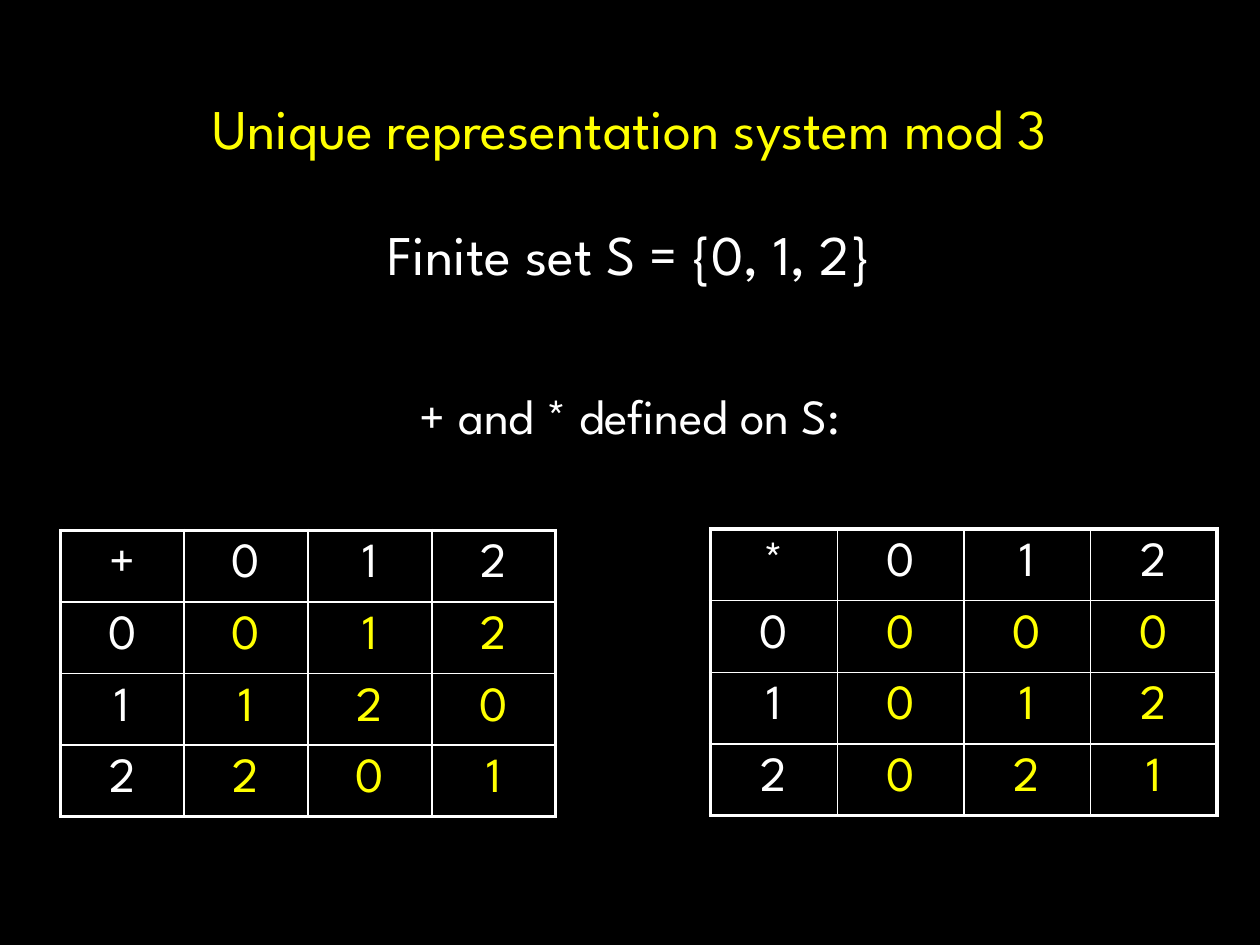
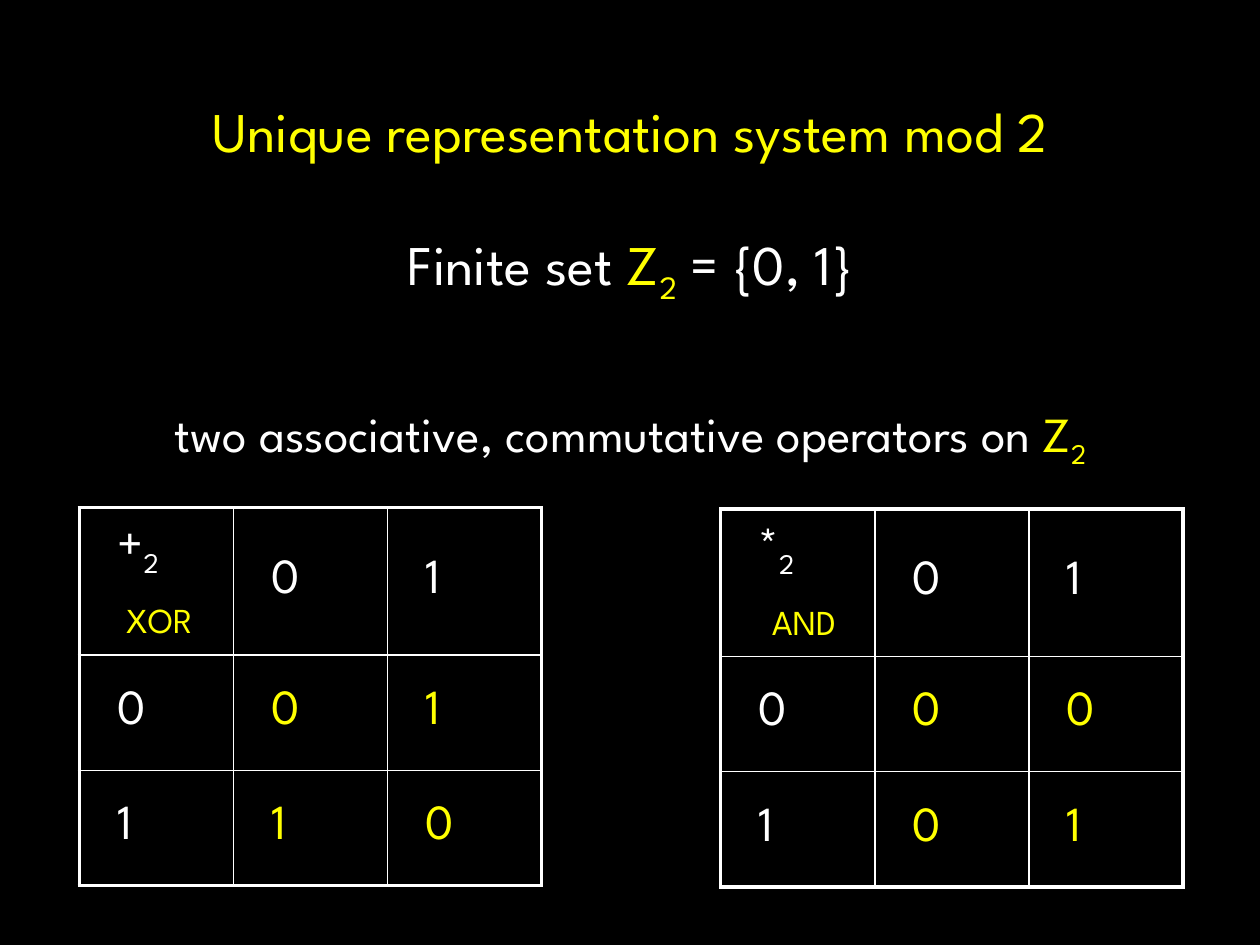
"""Build two slides on unique representation systems with their operator tables."""
from lxml.etree import SubElement
from pptx import Presentation
from pptx.dml.color import RGBColor
from pptx.enum.text import MSO_ANCHOR as ANCHOR, MSO_AUTO_SIZE as FIT, PP_ALIGN as ALIGN
from pptx.oxml.ns import qn
from pptx.util import Inches, Pt

BLACK = RGBColor(0, 0, 0)
WHITE = RGBColor(255, 255, 255)
YELLOW = RGBColor(255, 255, 0)
FONT = "League Spartan"
THIN, THICK = Pt(1), Pt(2.25)

prs = Presentation()
prs.slide_width, prs.slide_height = Inches(10), Inches(7.5)
COL, ROW = prs.slide_width / 100, prs.slide_height / 100


def write(p, text, size=28, color=WHITE, align=ALIGN.CENTER, sub=False):
    """Add one formatted run to a paragraph."""
    p.alignment = align
    r = p.add_run()
    r.text = text
    r.font.name, r.font.size = FONT, Pt(size)
    r.font.color.rgb = color
    if sub:
        r.font._element.set("baseline", "-25000")


def add_text(s, left, top, width, height, wrap=True):
    """Add a text box placed on the percent grid and return its frame."""
    sp = s.shapes.add_textbox(int(left * COL), int(top * ROW), int(width * COL), int(height * ROW))
    tf = sp.text_frame
    tf.word_wrap, tf.auto_size = wrap, FIT.SHAPE_TO_FIT_TEXT
    return tf


slides = [
    dict(
        title="Unique representation system mod 3",
        box=(7.3, 9.2, 85.4, 38.8),
        finite=[("Finite set S = {0, 1, 2}", {})],
        operators=[("+ and * defined on S:", {})],
        align=ALIGN.CENTER,
        rows=[7.57] * 4,
        tables=[
            (4.8, 56.13, 39.3, ["+012", "0012", "1120", "2201"]),
            (56.4, 56, 40.2, ["*012", "0000", "1012", "2021"]),
        ],
        labels=[],
    ),
    dict(
        title="Unique representation system mod 2",
        box=(2.9, 9.6, 94.3, 38.8),
        finite=[("Finite set ", {}), ("Z", dict(color=YELLOW)),
                ("2", dict(color=YELLOW, sub=True)), (" = {0, 1}", {})],
        operators=[("two associative, commutative operators on ", {}),
                   ("Z", dict(color=YELLOW)), ("2", dict(color=YELLOW, sub=True))],
        align=ALIGN.LEFT,
        rows=[15.6, 12.2, 12.2],
        tables=[
            (6.3, 53.73, 36.7, ["+01", "001", "110"]),
            (57.2, 53.87, 36.7, ["*01", "000", "101"]),
        ],
        labels=[("XOR", 8.7, 62.67, 7.9), ("AND", 59.7, 62.93, 8.2)],
    ),
]

for spec_data in slides:
    s = prs.slides.add_slide(prs.slide_layouts[6])
    s.background.fill.solid()
    s.background.fill.fore_color.rgb = BLACK

    tf = add_text(s, *spec_data["box"])
    write(tf.paragraphs[0], spec_data["title"], size=32, color=YELLOW)
    for runs, size, before in ((spec_data["finite"], 32, 38), (spec_data["operators"], 28, 60)):
        p = tf.add_paragraph()
        p.line_spacing, p.space_before = 0.9, Pt(before)
        for text, style in runs:
            write(p, text, size=size, **style)

    heights = spec_data["rows"]
    for left, top, width, grid in spec_data["tables"]:
        n = len(grid)
        table = s.shapes.add_table(n, n, int(left * COL), int(top * ROW),
                                   int(width * COL), int(sum(heights) * ROW)).table
        table.first_row = table.horz_banding = False
        for i, line in enumerate(grid):
            table.rows[i].height = int(heights[i] * ROW)
            table.columns[i].width = int(width * COL / n)
            for j, symbol in enumerate(line):
                cell = table.cell(i, j)
                cell.vertical_anchor = ANCHOR.MIDDLE
                cell.margin_left = cell.margin_right = Inches(0.3)
                cell.margin_top = cell.margin_bottom = Inches(0.05)
                color = YELLOW if i and j else WHITE
                p = cell.text_frame.paragraphs[0]
                write(p, symbol, color=color, align=spec_data["align"])
                if spec_data["labels"] and i == j == 0:
                    write(p, "2", align=spec_data["align"], sub=True)
                    cell.margin_bottom = Inches(0.5)
                outer = dict(L=j == 0, R=j == n - 1, T=i == 0, B=i == n - 1)
                for side, is_outer in outer.items():
                    ln = SubElement(cell._tc.get_or_add_tcPr(), qn(f"a:ln{side}"),
                                    w=str(THICK if is_outer else THIN))
                    SubElement(SubElement(ln, qn("a:solidFill")), qn("a:srgbClr"), val=str(WHITE))
                cell.fill.solid()
                cell.fill.fore_color.rgb = BLACK

    for text, left, top, width in spec_data["labels"]:
        tf = add_text(s, left, top, width, 5.73, wrap=False)
        write(tf.paragraphs[0], text, size=20, color=YELLOW)

prs.save("out.pptx")
